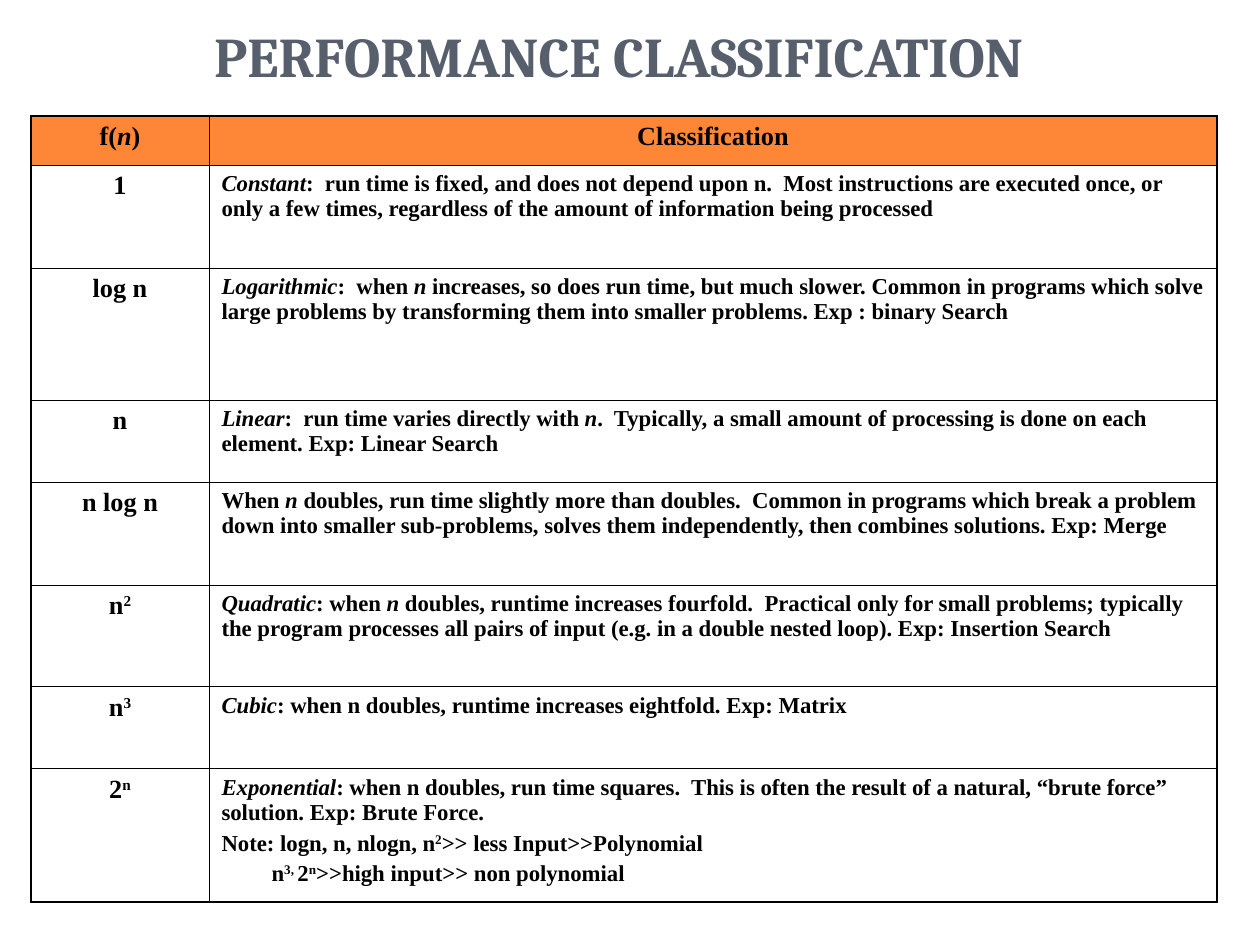
import lxml.etree
import pptx
import pptx.dml.color
import pptx.enum.text
import pptx.oxml.ns
import pptx.util

PX_PER_INCH = 126
TITLE_BOX = (31, 0, 1176, 95)
TABLE_BOX = (31, 116, 1186, 786)
COLUMN_WIDTHS = [178, 1008]
ROW_HEIGHTS = [49, 103, 132, 82, 103, 102, 82, 133]
OUTER_LINE, INNER_LINE = 1.08, 0.45
NOTE_INDENT = 50

# *...* is italic, ^...^ is superscript; a tab starts an indented paragraph
ROWS = [
    ("f(*n*)", ["Classification"]),
    ("1", ["*Constant*:  run time is fixed, and does not depend upon n.  Most instructions are "
           "executed once, or only a few times, regardless of the amount of information being "
           "processed"]),
    ("log n", ["*Logarithmic*:  when *n* increases, so does run time, but much slower. Common in "
               "programs which solve large problems by transforming them into smaller problems. "
               "Exp : binary Search"]),
    ("n", ["*Linear*:  run time varies directly with* n*.  Typically, a small amount of "
           "processing is done on each element. Exp: Linear Search"]),
    ("n log n", ["When *n* doubles, run time slightly more than doubles.  Common in programs "
                 "which break a problem down into smaller sub-problems, solves them "
                 "independently, then combines solutions. Exp: Merge"]),
    ("n^2^", ["*Quadratic*: when *n *doubles, runtime increases fourfold.  Practical only for "
              "small problems; typically the program processes all pairs of input (e.g. in a "
              "double nested loop). Exp: Insertion Search"]),
    ("n^3^", ["*Cubic*: when n doubles, runtime increases eightfold. Exp: Matrix"]),
    ("2^n^", ["*Exponential*: when n doubles, run time squares.  This is often the result of a "
              "natural, “brute force” solution. Exp: Brute Force.",
              "Note: logn, n, nlogn, n^2^>> less Input>>Polynomial",
              "\tn^3, ^2^n^>>high input>> non polynomial"]),
]


def px(length):
    return pptx.util.Emu(round(length * 914400 / PX_PER_INCH))


def color(hex_string):
    return pptx.dml.color.RGBColor.from_string(hex_string)


def set_font(paragraph, name, size, hex_string):
    font = paragraph.font
    font.name, font.size, font.bold = name, pptx.util.Pt(size), True
    font.color.rgb = color(hex_string)


def add_marked_runs(paragraph, text):
    for i, part in enumerate(text.split("*")):
        for j, piece in enumerate(part.split("^")):
            if not piece:
                continue
            run = paragraph.add_run()
            run.text = piece
            if i % 2:
                run.font.italic = True
            if j % 2:
                run._r.get_or_add_rPr().set("baseline", "30000")


def fill_cell(cell, texts, size, space_before, centered):
    frame = cell.text_frame
    for index, text in enumerate(texts):
        paragraph = frame.add_paragraph() if index else frame.paragraphs[0]
        set_font(paragraph, "Times New Roman", size, "000000")
        paragraph.space_before = pptx.util.Pt(space_before)
        if centered:
            paragraph.alignment = pptx.enum.text.PP_ALIGN.CENTER
        if text.startswith("\t"):
            paragraph._p.get_or_add_pPr().set("marL", str(px(NOTE_INDENT)))
        add_marked_runs(paragraph, text.strip("\t"))


def set_borders(cell, outer_sides):
    properties = cell._tc.get_or_add_tcPr()
    qn = pptx.oxml.ns.qn
    for index, side in enumerate("LRTB"):
        width = OUTER_LINE if side in outer_sides else INNER_LINE
        line = lxml.etree.Element(qn("a:ln" + side), w=str(pptx.util.Pt(width)))
        fill = lxml.etree.SubElement(line, qn("a:solidFill"))
        lxml.etree.SubElement(fill, qn("a:srgbClr"), val="000000")
        properties.insert(index, line)


def add_title(slide, box):
    title = slide.shapes.title
    title.left, title.top, title.width, title.height = map(px, box)
    frame = title.text_frame
    frame.text = "PERFORMANCE CLASSIFICATION"
    frame.auto_size = pptx.enum.text.MSO_AUTO_SIZE.NONE
    frame.vertical_anchor = pptx.enum.text.MSO_ANCHOR.BOTTOM
    paragraph = frame.paragraphs[0]
    paragraph.alignment = pptx.enum.text.PP_ALIGN.CENTER
    set_font(paragraph, "Cambria", 32, "575F6D")


def add_classification_table(slide, box):
    table = slide.shapes.add_table(len(ROWS), len(COLUMN_WIDTHS), *map(px, box)).table
    table.first_row = table.horz_banding = False
    for column, width in zip(table.columns, COLUMN_WIDTHS):
        column.width = px(width)
    for row, height in zip(table.rows, ROW_HEIGHTS):
        row.height = px(height)

    for row_index, (growth, description) in enumerate(ROWS):
        header = row_index == 0
        for column_index, texts in enumerate(([growth], description)):
            cell = table.cell(row_index, column_index)
            label = header or column_index == 0
            size, space_before = (15, 3.7) if label else (13, 3.3)
            fill_cell(cell, texts, size, space_before, label)
            if header:
                cell.fill.solid()
                cell.fill.fore_color.rgb = color("FE8637")
            else:
                cell.fill.background()
            outer_sides = "LR"[column_index]
            if header:
                outer_sides += "T"
            if row_index == len(ROWS) - 1:
                outer_sides += "B"
            set_borders(cell, outer_sides)


def main():
    presentation = pptx.Presentation()
    presentation.slide_width = pptx.util.Inches(10)
    presentation.slide_height = pptx.util.Inches(7.5)
    slide = presentation.slides.add_slide(presentation.slide_layouts[5])
    add_title(slide, TITLE_BOX)
    add_classification_table(slide, TABLE_BOX)
    presentation.save("out.pptx")


if __name__ == "__main__":
    main()
